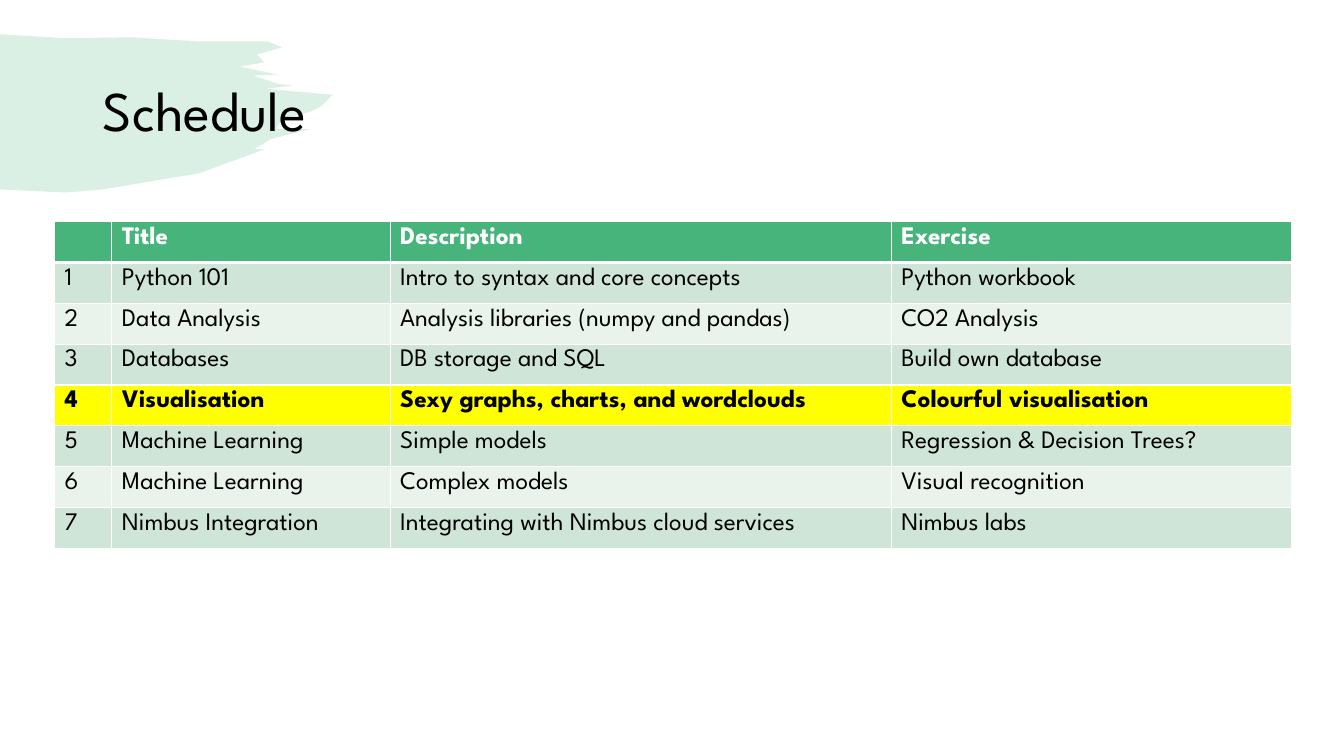
from lxml.etree import SubElement
from pptx import Presentation
from pptx.dml.color import RGBColor
from pptx.enum.text import MSO_ANCHOR
from pptx.oxml.ns import qn
from pptx.util import Inches, Pt

FONT = "League Spartan"
GREEN = "47B47C"
HIGHLIGHTED_ROW = 4
COLUMN_WIDTHS = [0.57, 2.76, 4.97, 3.97]
SCHEDULE = [
    ("Title", "Description", "Exercise"),
    ("Python 101", "Intro to syntax and core concepts", "Python workbook"),
    ("Data Analysis", "Analysis libraries (numpy and pandas)", "CO2 Analysis"),
    ("Databases", "DB storage and SQL", "Build own database"),
    ("Visualisation", "Sexy graphs, charts, and wordclouds", "Colourful visualisation"),
    ("Machine Learning", "Simple models", "Regression & Decision Trees?"),
    ("Machine Learning", "Complex models", "Visual recognition"),
    ("Nimbus Integration", "Integrating with Nimbus cloud services", "Nimbus labs"),
]
BRUSH_OUTLINE = [
    (0, 0.34), (0.66, 0.38), (1.3, 0.37), (1.94, 0.41), (2.65, 0.41),
    (2.8, 0.47), (2.55, 0.54), (2.62, 0.62), (2.38, 0.66), (2.75, 0.74),
    (2.51, 0.75), (2.75, 0.83), (2.9, 0.85), (2.63, 0.88), (3.3, 0.94),
    (3.18, 1.06), (3.07, 1.11), (2.8, 1.18), (2.74, 1.28), (3.08, 1.28),
    (2.69, 1.38), (2.52, 1.48), (2.63, 1.48), (1.97, 1.72), (1.02, 1.88),
    (0.65, 1.91), (0, 1.88),
]


def set_fill(fill, color):
    fill.solid()
    fill.fore_color.rgb = RGBColor.from_string(color)


def set_font(p, size, color="000000", bold=False):
    for r in p.runs:
        r.font.name = FONT
        r.font.size = Pt(size)
        r.font.bold = bold
        r.font.color.rgb = RGBColor.from_string(color)


def add_brush_stroke(s):
    points = [(Inches(x), Inches(y)) for x, y in BRUSH_OUTLINE]
    builder = s.shapes.build_freeform(*points[0])
    builder.add_line_segments(points[1:], close=True)
    sp = builder.convert_to_shape()
    sp.shadow.inherit = False
    sp.line.fill.background()
    set_fill(sp.fill, GREEN)
    color = sp.element.spPr.find(qn("a:solidFill"))[0]
    SubElement(color, qn("a:alpha"), val="20000")


def add_title(s, text):
    sp = s.shapes.add_textbox(Inches(0.92), Inches(0.4), Inches(11.5), Inches(1.45))
    tf = sp.text_frame
    tf.word_wrap = True
    tf.vertical_anchor = MSO_ANCHOR.MIDDLE
    p = tf.paragraphs[0]
    p.text = text
    p.line_spacing = 0.9
    set_font(p, 40)


def set_borders(cell, top, bottom):
    tcPr = cell._tc.get_or_add_tcPr()
    for side, width in (("L", 1), ("R", 1), ("T", top), ("B", bottom)):
        ln = SubElement(tcPr, qn(f"a:ln{side}"), w=str(int(Pt(width))))
        fill = SubElement(ln, qn("a:solidFill"))
        SubElement(fill, qn("a:srgbClr"), val="FFFFFF")


def row_fill(row):
    if row == 0:
        return GREEN
    if row == HIGHLIGHTED_ROW:
        return "FFFF00"
    return "CFE5D7" if row % 2 else "E9F3EC"


def add_schedule(s):
    table = s.shapes.add_table(
        len(SCHEDULE), len(COLUMN_WIDTHS),
        Inches(0.54), Inches(2.2), Inches(12.27), Inches(3.24),
    ).table
    for column, width in zip(table.columns, COLUMN_WIDTHS):
        column.width = Inches(width)
    for i, texts in enumerate(SCHEDULE):
        number = str(i) if i else ""
        for j, text in enumerate((number, *texts)):
            cell = table.cell(i, j)
            set_borders(cell, top=3 if i == 1 else 1, bottom=3 if i == 0 else 1)
            set_fill(cell.fill, row_fill(i))
            if text:
                p = cell.text_frame.paragraphs[0]
                p.text = text
                set_font(p, 18, "000000" if i else "FFFFFF", i in (0, HIGHLIGHTED_ROW))


def main():
    prs = Presentation()
    prs.slide_width = Inches(13.33)
    prs.slide_height = Inches(7.5)
    s = prs.slides.add_slide(prs.slide_layouts[6])
    add_brush_stroke(s)
    add_title(s, "Schedule")
    add_schedule(s)
    prs.save("out.pptx")


if __name__ == "__main__":
    main()
